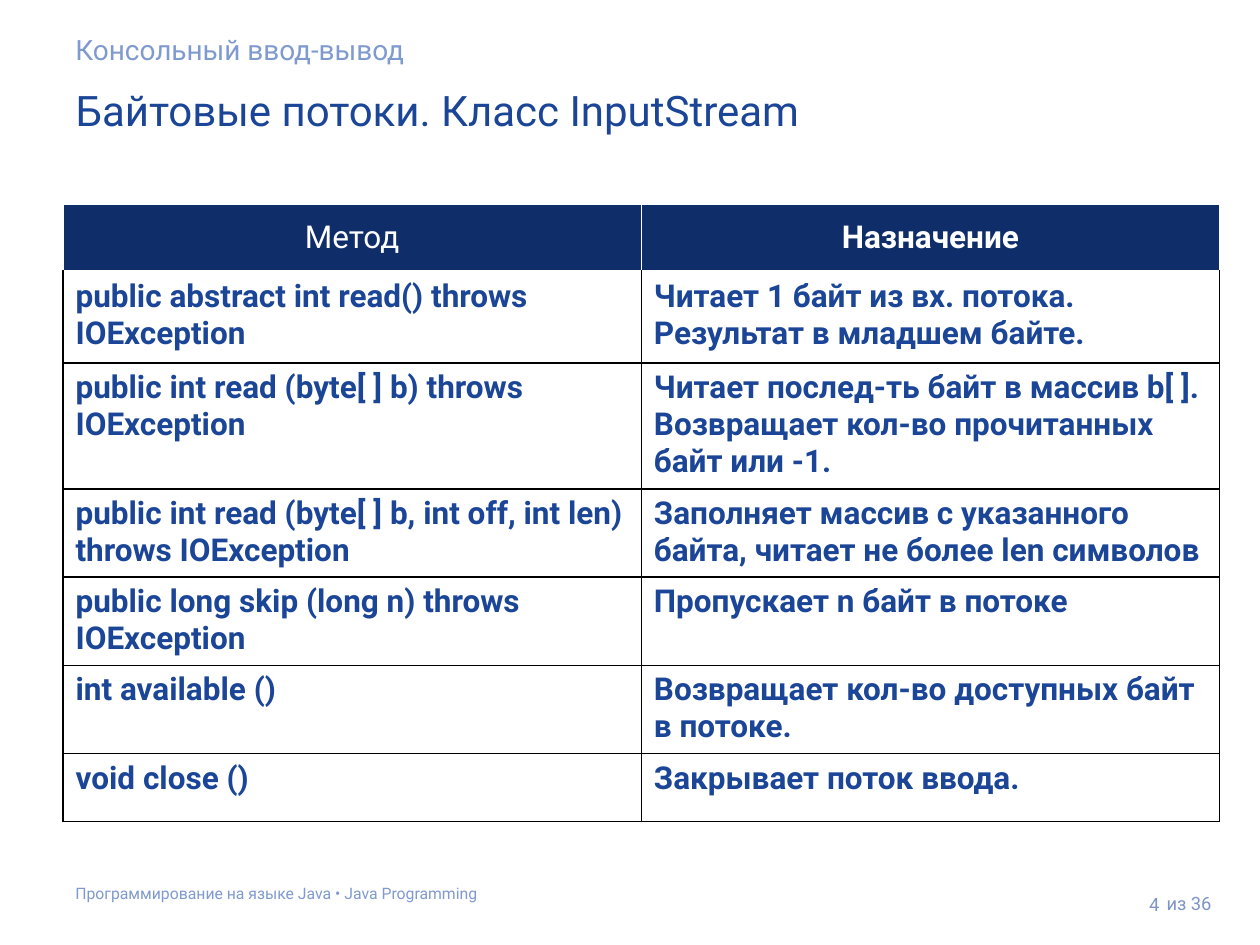
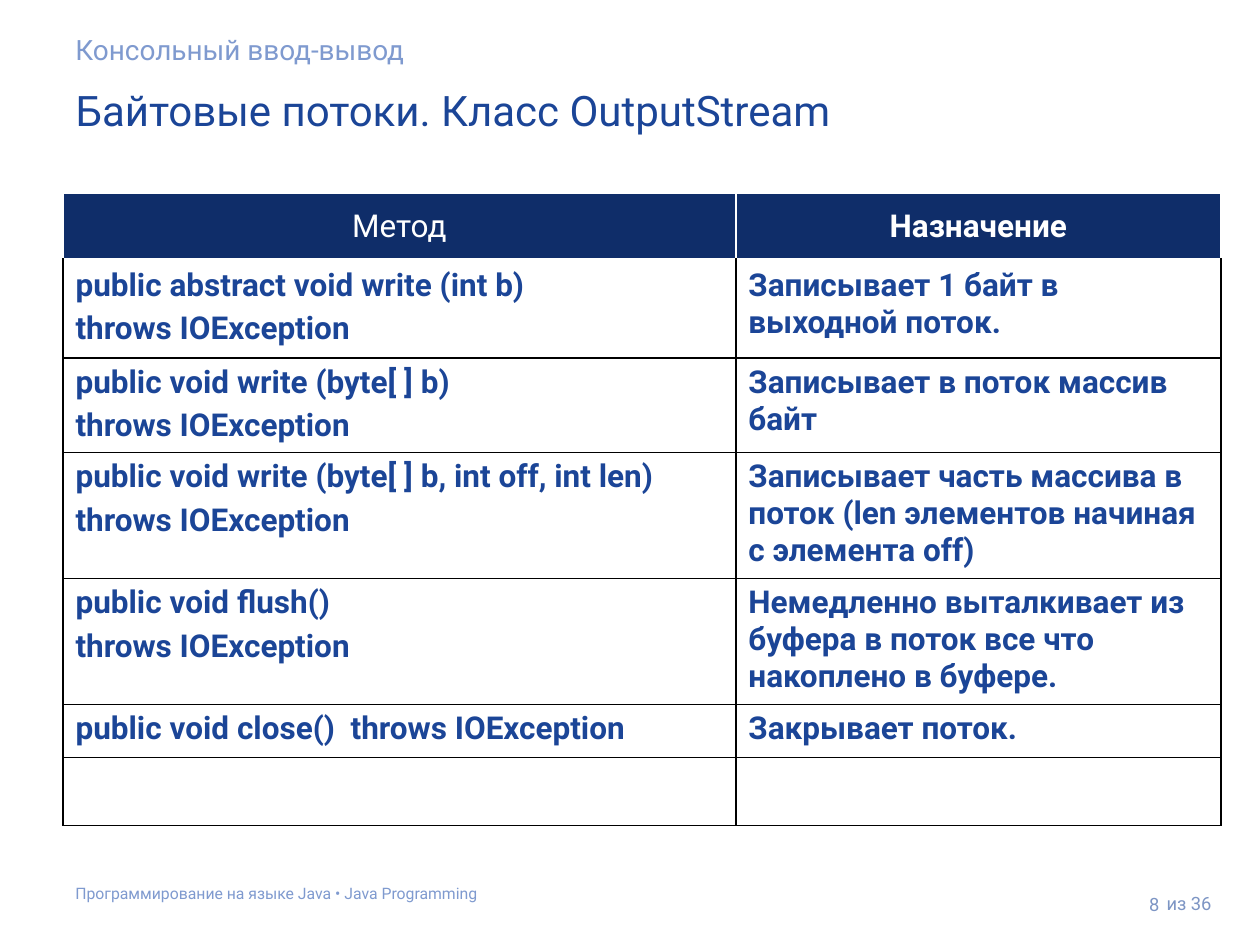
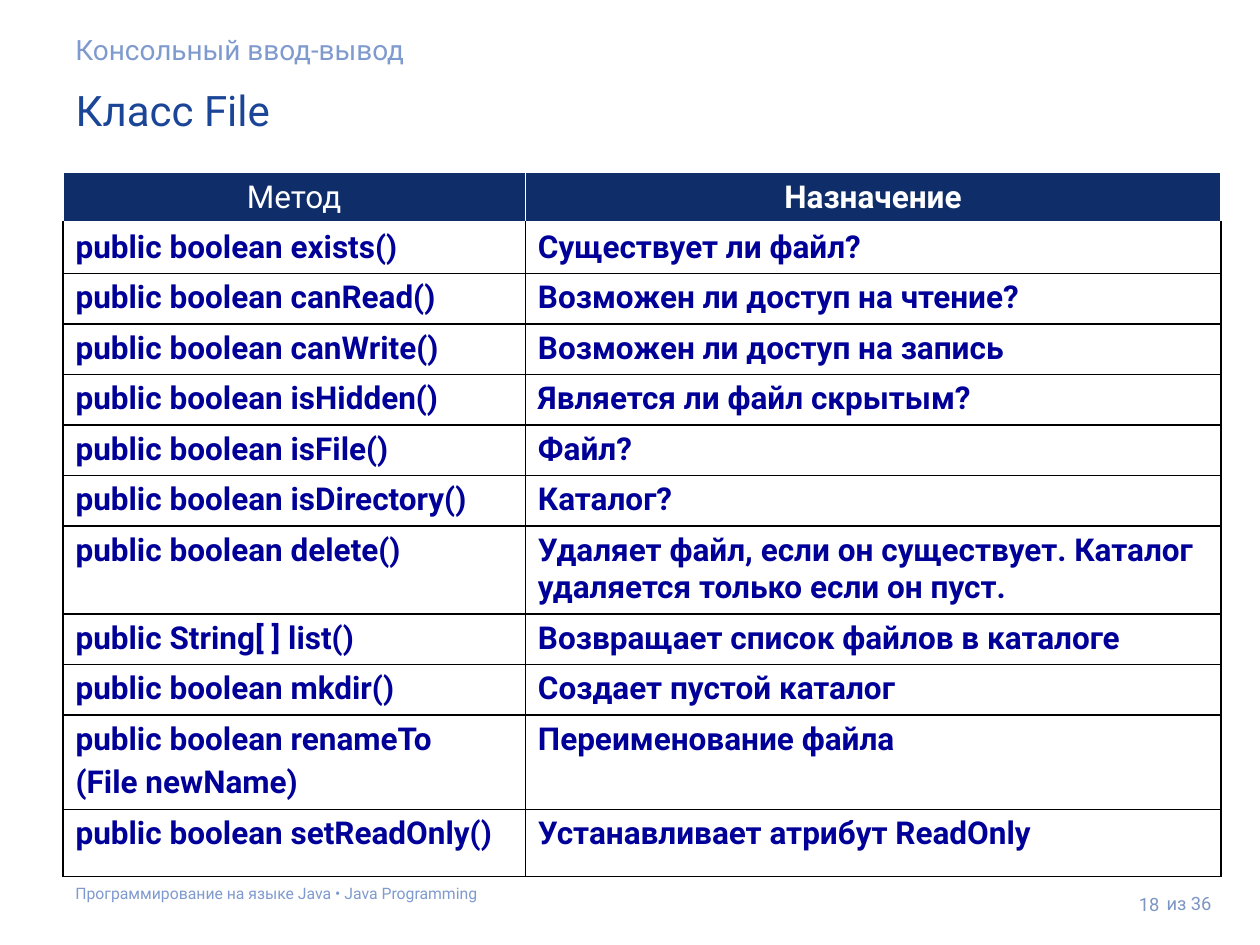
from lxml import etree
from pptx import Presentation
from pptx.dml.color import RGBColor
from pptx.enum.text import MSO_ANCHOR, MSO_AUTO_SIZE, PP_ALIGN
from pptx.oxml.ns import qn
from pptx.util import Inches, Pt

TOP, MIDDLE = MSO_ANCHOR.TOP, MSO_ANCHOR.MIDDLE
LEFT, CENTER, RIGHT = PP_ALIGN.LEFT, PP_ALIGN.CENTER, PP_ALIGN.RIGHT
GROW, FIXED = MSO_AUTO_SIZE.SHAPE_TO_FIT_TEXT, MSO_AUTO_SIZE.NONE

FONT = "Roboto"
BLUE = RGBColor(0x1B, 0x45, 0x97)
DEEP_BLUE = RGBColor(0x00, 0x00, 0x99)
NAVY = RGBColor(0x0F, 0x2D, 0x69)
PALE_BLUE = RGBColor(0x7F, 0x9A, 0xCF)
GREY_BLUE = RGBColor(0x7D, 0x95, 0xC4)
WHITE = RGBColor(0xFF, 0xFF, 0xFF)
BLACK = RGBColor(0x00, 0x00, 0x00)

TITLE_ONLY = 5
EDGE = 0.5
CONTENT_WIDTH = 9.19

SECTION = "Консольный ввод-вывод"
COURSE = "Программирование на языке Java • Java Programming"
PAGE_TOTAL = "из 36"
HEADINGS = ("Метод", "Назначение")

INPUT_METHODS = [
    ("public abstract int read() throws IOException",
     "Читает 1 байт из вх. потока. Результат в младшем байте."),
    ("public int read (byte[ ] b) throws IOException",
     "Читает послед-ть байт в массив b[ ]. Возвращает кол-во прочитанных байт или -1."),
    ("public int read (byte[ ] b, int off, int len) throws IOException",
     "Заполняет массив с указанного байта, читает не более len символов"),
    ("public long skip (long n) throws IOException", "Пропускает n байт в потоке"),
    ("int available ()", "Возвращает кол-во доступных байт в потоке."),
    ("void close ()", "Закрывает поток ввода."),
]

OUTPUT_METHODS = [
    ("public abstract void write (int b)\nthrows IOException",
     "Записывает 1 байт в выходной поток."),
    ("public void write (byte[ ] b)\nthrows IOException",
     "Записывает в поток массив байт"),
    ("public void write (byte[ ] b, int off, int len)\nthrows IOException",
     "Записывает часть массива в поток (len элементов начиная с элемента off)"),
    ("public void flush()\nthrows IOException",
     "Немедленно выталкивает из буфера в поток все что накоплено в буфере."),
    ("public void close()  throws IOException", "Закрывает поток."),
    ("", ""),
]

FILE_METHODS = [
    ("public boolean exists()", "Существует ли файл?"),
    ("public boolean canRead()", "Возможен ли доступ на чтение?"),
    ("public boolean canWrite()", "Возможен ли доступ на запись"),
    ("public boolean isHidden()", "Является ли файл скрытым?"),
    ("public boolean isFile()", "Файл?"),
    ("public boolean isDirectory()", "Каталог?"),
    ("public boolean delete()",
     "Удаляет файл, если он существует. Каталог удаляется только если он пуст."),
    ("public String[ ] list()", "Возвращает список файлов в каталоге"),
    ("public boolean mkdir()", "Создает пустой каталог"),
    ("public boolean renameTo\n(File newName)", "Переименование файла"),
    ("public boolean setReadOnly()", "Устанавливает атрибут ReadOnly"),
]


def write(frame, text, size=18, color=BLUE, bold=False, align=LEFT, before=0):
    """Fill a text frame with one formatted paragraph per line of text."""
    for index, line in enumerate(text.split("\n")):
        paragraph = frame.add_paragraph() if index else frame.paragraphs[0]
        paragraph.alignment = align
        paragraph.space_before = Pt(before)
        run = paragraph.add_run()
        run.text = line
        run.font.name = FONT
        run.font.size = Pt(size)
        run.font.bold = bold
        run.font.color.rgb = color


def set_frame(frame, anchor=TOP, inset=0.1, fit=GROW):
    """Set the wrapping, anchor and insets of a text frame."""
    frame.word_wrap = True
    frame.auto_size = fit
    frame.vertical_anchor = anchor
    frame.margin_left = frame.margin_right = Inches(0.1)
    frame.margin_top = frame.margin_bottom = Inches(inset)


def add_label(slide, box, text, anchor=TOP, inset=0.1, fit=GROW, **style):
    """Add a text box at box (left, top, width, height in inches)."""
    frame = slide.shapes.add_textbox(*map(Inches, box)).text_frame
    set_frame(frame, anchor, inset, fit)
    write(frame, text, **style)


def add_page(deck, title, number):
    """Add a slide with its title, section line, course footer and page number."""
    slide = deck.slides.add_slide(deck.slide_layouts[TITLE_ONLY])
    heading = slide.shapes.title
    heading.left, heading.top = Inches(EDGE), Inches(0.57)
    heading.width, heading.height = Inches(CONTENT_WIDTH), Inches(0.61)
    set_frame(heading.text_frame)
    write(heading.text_frame, title, size=24)
    add_label(slide, (EDGE, 0.16, CONTENT_WIDTH, 0.47), SECTION, size=16, color=PALE_BLUE)
    add_label(slide, (EDGE, 6.94, 9, 0.35), COURSE, size=9, color=PALE_BLUE)
    add_label(slide, (9.16, 6.97, 0.69, 0.4), PAGE_TOTAL, anchor=MIDDLE, inset=0.05,
              fit=FIXED, size=10.5, color=GREY_BLUE)
    add_label(slide, (8.7, 6.89, 0.6, 0.57), str(number), anchor=MIDDLE,
              fit=FIXED, size=10.5, color=GREY_BLUE, align=RIGHT)
    return slide


def set_borders(cell, side=BLACK, top=BLACK, bottom=BLACK, bottom_width=1):
    """Draw the four borders of a table cell."""
    properties = cell._tc.get_or_add_tcPr()
    for tag, color, width in (("a:lnL", side, 1), ("a:lnR", side, 1),
                              ("a:lnT", top, 1), ("a:lnB", bottom, bottom_width)):
        line = etree.SubElement(properties, qn(tag), w=str(Pt(width)))
        fill = etree.SubElement(line, qn("a:solidFill"))
        etree.SubElement(fill, qn("a:srgbClr"), val=str(color))


def add_methods(slide, top, widths, heights, methods, color=BLUE, before=3.6):
    """Add a table of methods and their purposes under a navy heading row."""
    table = slide.shapes.add_table(
        len(heights), len(widths), Inches(EDGE), Inches(top),
        Inches(sum(widths)), Inches(sum(heights))).table
    table.horz_banding = False
    for column, width in zip(table.columns, widths):
        column.width = Inches(width)
    for row, height in zip(table.rows, heights):
        row.height = Inches(height)
    for index, text in enumerate(HEADINGS):
        cell = table.cell(0, index)
        cell.vertical_anchor = MIDDLE
        set_borders(cell, WHITE, WHITE, WHITE, 3)
        cell.fill.solid()
        cell.fill.fore_color.rgb = NAVY
        write(cell.text_frame, text, color=WHITE, bold=index == 1, align=CENTER)
    for row_index, method in enumerate(methods, 1):
        for index, text in enumerate(method):
            cell = table.cell(row_index, index)
            set_borders(cell, top=WHITE if row_index == 1 else BLACK)
            cell.fill.background()
            if text:
                write(cell.text_frame, text, color=color, bold=True, before=before)


def main():
    """Build the three class reference slides."""
    deck = Presentation()
    deck.slide_width, deck.slide_height = Inches(10), Inches(7.5)

    input_page = add_page(deck, "Байтовые потоки. Класс InputStream", 4)
    add_methods(input_page, 1.62, (4.59, 4.59),
                (0.54, 0.72, 1, 0.7, 0.7, 0.7, 0.54), INPUT_METHODS, before=4.3)

    output_page = add_page(deck, "Байтовые потоки. Класс OutputStream", 8)
    add_methods(output_page, 1.53, (5.34, 3.85),
                (0.54, 0.77, 0.75, 1, 1, 0.42, 0.54), OUTPUT_METHODS)

    file_page = add_page(deck, "Класс File", 18)
    add_methods(file_page, 1.37, (3.67, 5.52),
                [0.39] * 7 + [0.69, 0.39, 0.39, 0.75, 0.53], FILE_METHODS, DEEP_BLUE)

    deck.save("out.pptx")


if __name__ == "__main__":
    main()
